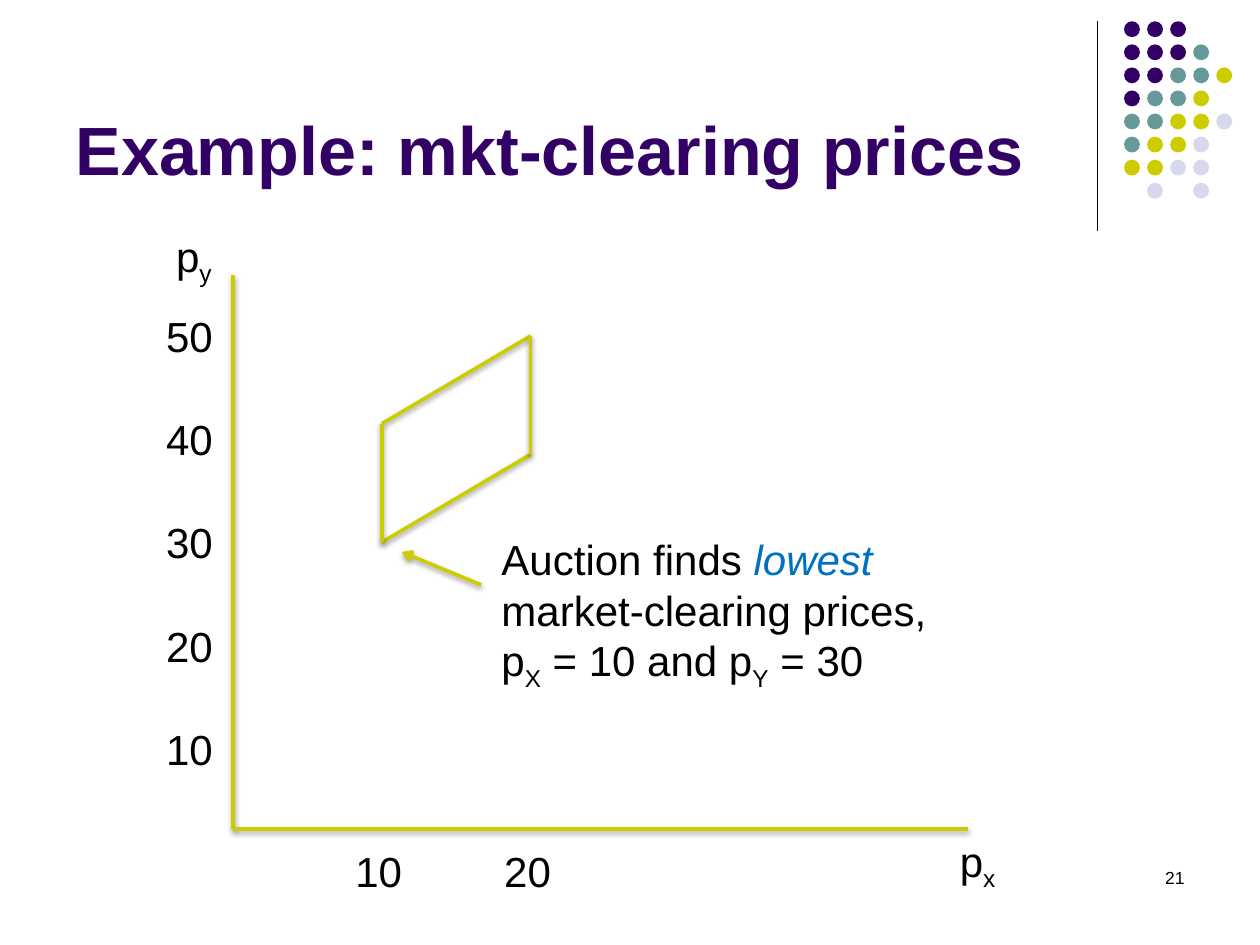
from lxml.etree import SubElement
from pptx import Presentation
from pptx.dml.color import RGBColor
from pptx.enum.shapes import MSO_CONNECTOR, MSO_SHAPE
from pptx.enum.text import MSO_ANCHOR, PP_ALIGN
from pptx.oxml import parse_xml
from pptx.oxml.ns import nsdecls, qn
from pptx.util import Cm, Pt

BLACK = RGBColor(0x00, 0x00, 0x00)
PURPLE = RGBColor(0x33, 0x00, 0x66)
TEAL = RGBColor(0x66, 0x99, 0x99)
OLIVE = RGBColor(0xCC, 0xCC, 0x00)
LAVENDER = RGBColor(0xD8, 0xD8, 0xEC)
BLUE = RGBColor(0x00, 0x70, 0xC0)
FONT = "Arial"

DOT_COLOURS = {"P": PURPLE, "T": TEAL, "O": OLIVE, "L": LAVENDER}
DOT_ROWS = ["PPP", "PPPT", "PPTTO", "PTTO", "TTOOL", "TOOL", "OOLL", " L L"]

SHADOW = (
    f'<a:effectLst {nsdecls("a")}><a:outerShdw blurRad="39370" dist="20320" '
    'dir="5400000" rotWithShape="0"><a:srgbClr val="000000">'
    '<a:alpha val="38000"/></a:srgbClr></a:outerShdw></a:effectLst>'
)
NO_SHADOW = f'<a:effectLst {nsdecls("a")}/>'


def add_line(slide, start, end, colour=OLIVE, width=2, effect=SHADOW, arrow=False):
    line = slide.shapes.add_connector(
        MSO_CONNECTOR.STRAIGHT, *(Cm(length) for length in (*start, *end)))
    line.line.color.rgb = colour
    line.line.width = Pt(width)
    properties = line.element.find(qn("p:spPr"))
    if arrow:
        SubElement(properties.find(qn("a:ln")), qn("a:tailEnd"), type="arrow")
    properties.append(parse_xml(effect))


def add_text(slide, box, paragraphs, size=24, wrap=False, align=PP_ALIGN.LEFT):
    """Each paragraph is a list of (text, style); style is '', 'sub' or 'accent'."""
    shape = slide.shapes.add_textbox(*(Cm(length) for length in box))
    frame = shape.text_frame
    frame.word_wrap = wrap
    for index, runs in enumerate(paragraphs):
        paragraph = frame.paragraphs[0] if index == 0 else frame.add_paragraph()
        paragraph.alignment = align
        paragraph.font.name = FONT
        paragraph.font.size = Pt(size)
        paragraph.font.color.rgb = BLACK
        for text, style in runs:
            run = paragraph.add_run()
            run.text = text
            if style == "sub":
                run.font._element.set("baseline", "-25000")
            elif style == "accent":
                run.font.italic = True
                run.font.color.rgb = BLUE


def add_corner_ornament(slide, left, top):
    # Vertical rule beside the dot grid
    add_line(slide, (left, top), (left, top + 4.22), BLACK, 0.75, NO_SHADOW)
    pitch, diameter = 0.465, 0.32
    for row, codes in enumerate(DOT_ROWS):
        for column, code in enumerate(codes):
            if code == " ":
                continue
            dot = slide.shapes.add_shape(
                MSO_SHAPE.OVAL, Cm(left + 0.54 + column * pitch),
                Cm(top + row * pitch), Cm(diameter), Cm(diameter))
            dot.shadow.inherit = False
            dot.fill.solid()
            dot.fill.fore_color.rgb = DOT_COLOURS[code]
            dot.line.fill.background()


def set_title(slide, left, top, width, height):
    title = slide.shapes.title
    title.left, title.top = Cm(left), Cm(top)
    title.width, title.height = Cm(width), Cm(height)
    title.text_frame.text = "Example: mkt-clearing prices"
    title.text_frame.vertical_anchor = MSO_ANCHOR.BOTTOM
    paragraph = title.text_frame.paragraphs[0]
    paragraph.alignment = PP_ALIGN.LEFT
    paragraph.font.name = FONT
    paragraph.font.size = Pt(39)
    paragraph.font.bold = True
    paragraph.font.color.rgb = PURPLE


def add_price_plot(slide, left, top, width, height):
    bottom = top + height
    label_width, label_height = 1.47, 1.27

    def x_at(price):
        return left + 0.3 * price

    def y_at(price):
        return bottom + 0.46 - 0.208 * price

    # Axes and their names
    add_line(slide, (left, top), (left, bottom))
    add_line(slide, (left, bottom), (left + width, bottom))
    add_text(slide, (left + width - 0.41, bottom, 1.27, label_height),
             [[("p", ""), ("x", "sub")]])
    add_text(slide, (left - 1.4, top - 1.02, 1.27, label_height),
             [[("p", ""), ("y", "sub")]])

    # Price labels
    for price in (10, 20):
        add_text(slide, (x_at(price) - label_width / 2 - 0.05, bottom + 0.21,
                         label_width, label_height), [[(str(price), "")]])
    for price in range(10, 60, 10):
        add_text(slide, (left - 1.6, y_at(price) - label_height / 2,
                         label_width, label_height), [[(str(price), "")]])

    # Region of market-clearing prices
    side = 2.39
    lower_left = (x_at(10), y_at(30))
    upper_left = (x_at(10), y_at(30) - side)
    upper_right = (x_at(20), y_at(50))
    lower_right = (x_at(20), y_at(50) + side)
    for start, end in ((lower_left, lower_right), (upper_left, upper_right),
                       (upper_left, lower_left), (upper_right, lower_right)):
        add_line(slide, start, end)

    # Note pointing at the lowest prices
    add_text(slide, (left + 5.16, top + 5.1, 9.6, 3.33), [
        [("Auction finds ", ""), ("lowest ", "accent"), ("market-clearing prices,", "")],
        [("p", ""), ("X", "sub"), (" = 10 and p", ""), ("Y", "sub"), (" = 30", "")],
    ], wrap=True)
    add_line(slide, (left + 5, top + 6.25), (left + 3.4, top + 5.59), arrow=True)


def main():
    presentation = Presentation()
    presentation.slide_width, presentation.slide_height = Cm(25.4), Cm(19.05)
    slide = presentation.slides.add_slide(presentation.slide_layouts[5])
    add_corner_ornament(slide, 22.12, 0.43)
    set_title(slide, 1.27, 0.33, 20.96, 3.61)
    add_price_plot(slide, 4.7, 5.54, 14.81, 11.17)
    # Slide number
    add_text(slide, (18.21, 17.35, 5.92, 1.27), [[("21", "")]],
             size=10, wrap=True, align=PP_ALIGN.RIGHT)
    presentation.save("out.pptx")


if __name__ == "__main__":
    main()
